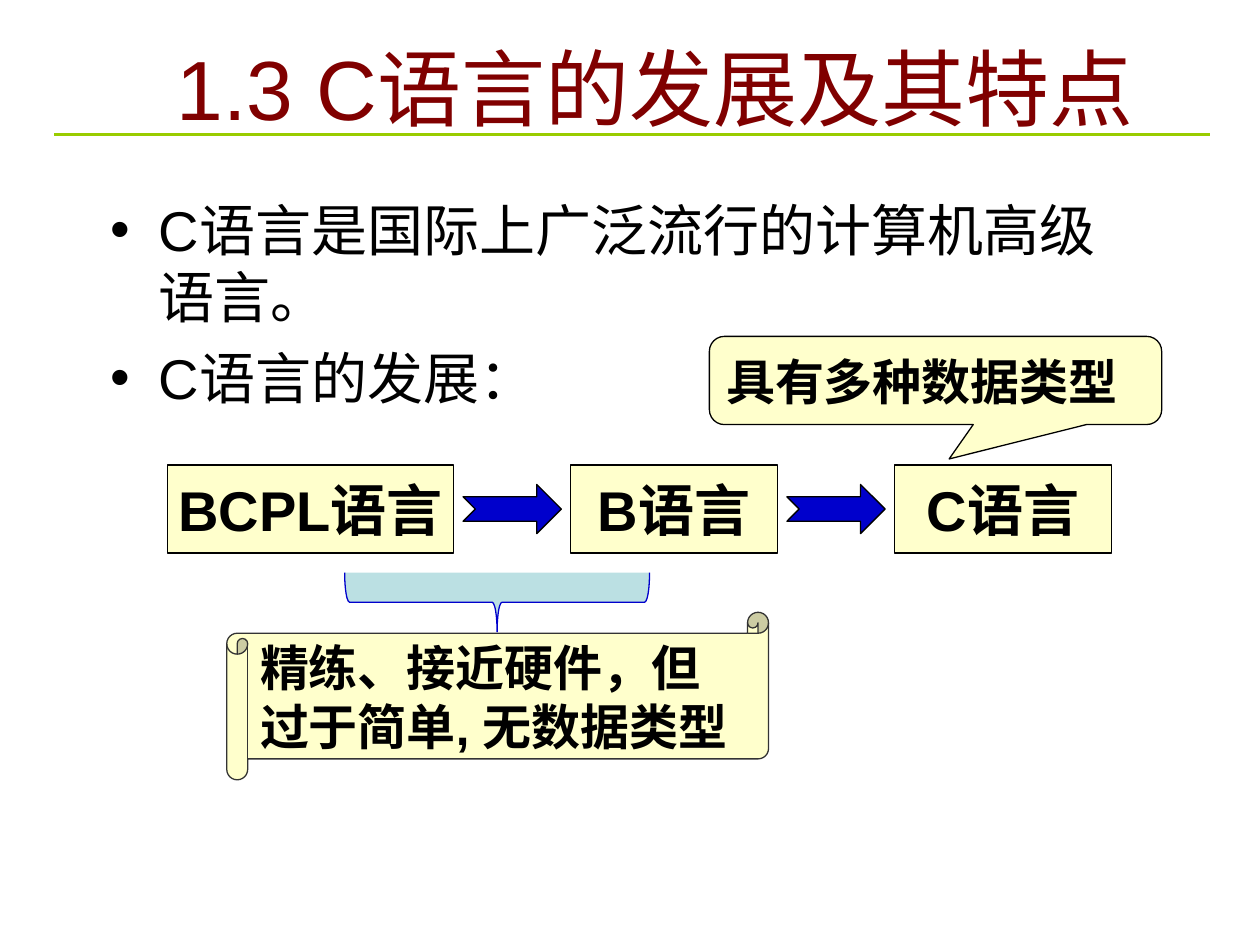
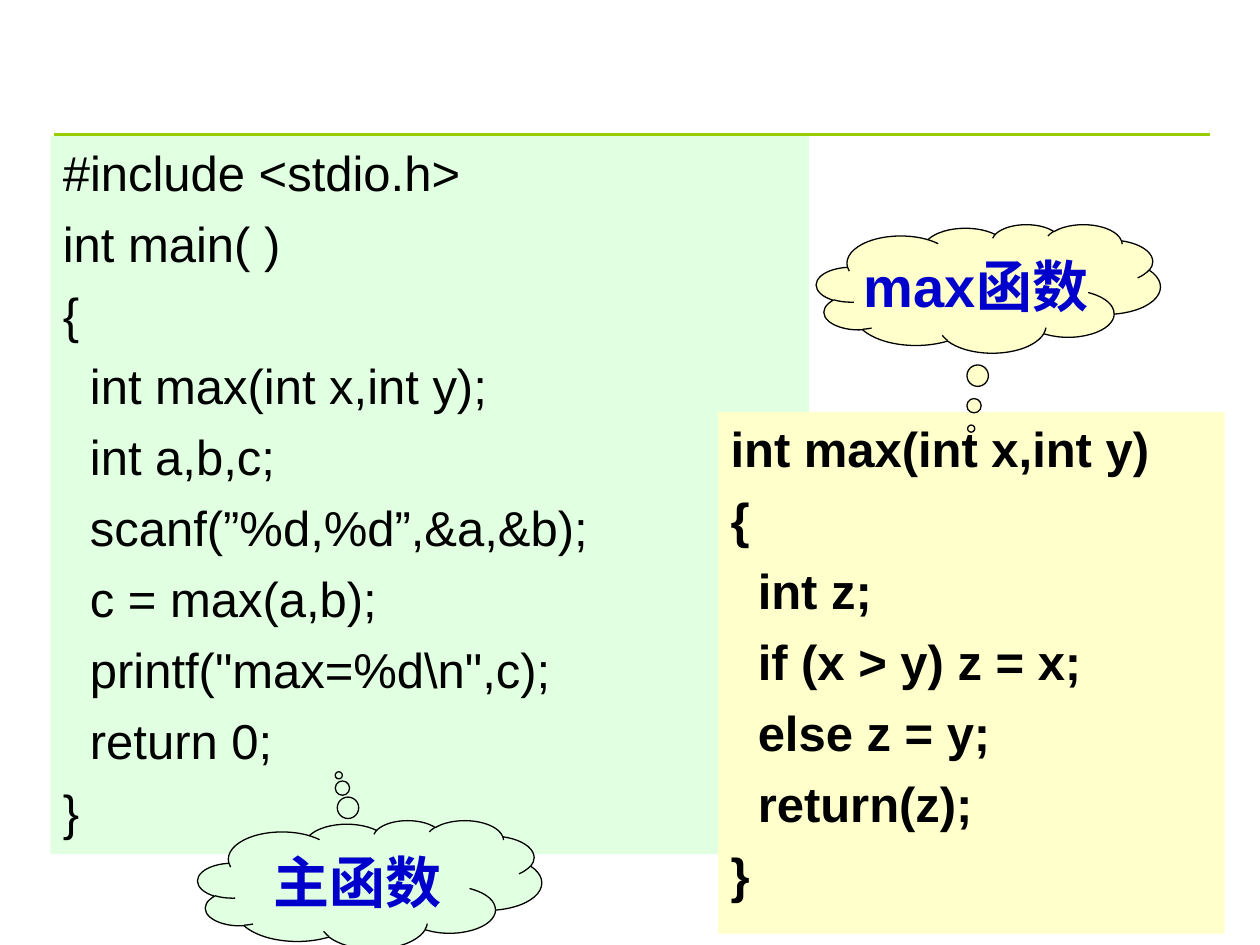
from dataclasses import dataclass

from lxml import etree
from pptx import Presentation
from pptx import util as u
from pptx.dml.color import RGBColor
from pptx.enum import shapes, text
from pptx.oxml.ns import qn

TITLE = "1.3 C语言的发展及其特点"
POINTS = ["C语言是国际上广泛流行的计算机高级语言。", "C语言的发展："]
LANGUAGES = [("BCPL语言", 2.27), ("B语言", 1.64), ("C语言", 1.72)]  # name, box width
EARLY_LANGUAGES_NOTE = ["精练、接近硬件，但", "过于简单, 无数据类型"]
C_NOTE = ["具有多种数据类型"]

MAIN_CODE = r"""#include <stdio.h>
int main( )
{
  int max(int x,int y);
  int a,b,c;
  scanf(”%d,%d”,&a,&b);
  c = max(a,b);
  printf("max=%d\n",c);
  return 0;
}""".splitlines()
MAX_CODE = """int max(int x,int y)
{
  int z;
  if (x > y) z = x;
  else z = y;
  return(z);
}""".splitlines()

SHAPE = shapes.MSO_SHAPE
LEFT, CENTER = text.PP_ALIGN.LEFT, text.PP_ALIGN.CENTER
TOP, MIDDLE = text.MSO_ANCHOR.TOP, text.MSO_ANCHOR.MIDDLE


@dataclass(frozen=True)
class Theme:
    font: str = "Arial"
    title: str = "800000"
    ink: str = "000000"
    rule: str = "99CC00"
    cream: str = "FFFFCC"
    mint: str = "E1FFE1"
    blue: str = "0000CC"
    brace: str = "BBE0E3"
    scroll_line: str = "333333"
    title_size: int = 48
    large: int = 32
    medium: int = 28
    leading: float = 1.2
    paragraph_gap: float = 0.25  # share of the type size
    thin: float = 0.75
    rule_width: float = 1.5


THEME = Theme()
WIDTH, HEIGHT = 10, 7.5
RULE_LEFT, RULE_RIGHT, RULE_TOP = 0.43, 9.6, 1.07
FLOW_LEFT, FLOW_TOP, FLOW_HEIGHT, FLOW_GAP = 1.33, 3.69, 0.7, 0.93
ARROW_WIDTH, ARROW_HEIGHT = 0.78, 0.39
CLOUD_SIZE = (2.73, 1.02)


def inches(*lengths):
    return [u.Inches(length) for length in lengths]


def write(shape, lines, size, color=THEME.ink, bold=False, align=LEFT,
          anchor=MIDDLE, wrap=False, gap=0.0, bullet=False):
    """Fill a shape with one paragraph per line; gap is a share of the size."""
    frame = shape.text_frame
    frame.text = "\n".join(lines)
    frame.word_wrap = wrap
    frame.auto_size = text.MSO_AUTO_SIZE.NONE
    frame.vertical_anchor = anchor
    for index, paragraph in enumerate(frame.paragraphs):
        paragraph.alignment = align
        paragraph.line_spacing = u.Pt(size * THEME.leading)
        paragraph.space_before = u.Pt(size * gap if index else 0)
        if bullet:
            add_bullet(paragraph)
        for run in paragraph.runs:
            run.font.name = THEME.font
            run.font.size = u.Pt(size)
            run.font.bold = bold
            run.font.color.rgb = RGBColor.from_string(color)


def add_bullet(paragraph):
    properties = paragraph._p.get_or_add_pPr()
    indent = u.Inches(0.38)
    properties.set("marL", str(indent))
    properties.set("indent", str(-indent))
    font = etree.SubElement(properties, qn("a:buFont"))
    font.set("typeface", THEME.font)
    etree.SubElement(properties, qn("a:buChar")).set("char", "•")


def add_shape(slide, kind, box, fill, line=None, adjustments=()):
    shape = slide.shapes.add_shape(kind, *inches(*box))
    shape.shadow.inherit = False
    shape.fill.solid()
    shape.fill.fore_color.rgb = RGBColor.from_string(fill)
    if line:
        shape.line.color.rgb = RGBColor.from_string(line)
        shape.line.width = u.Pt(THEME.thin)
    else:
        shape.line.fill.background()
    for index, value in enumerate(adjustments):
        shape.adjustments[index] = value
    return shape


def add_rule(slide):
    rule = slide.shapes.add_connector(
        shapes.MSO_CONNECTOR.STRAIGHT,
        *inches(RULE_LEFT, RULE_TOP, RULE_RIGHT, RULE_TOP))
    rule.line.color.rgb = RGBColor.from_string(THEME.rule)
    rule.line.width = u.Pt(THEME.rule_width)
    etree.SubElement(rule._element.spPr, qn("a:effectLst"))


def add_slide(presentation, layout_name):
    layout = presentation.slide_layouts.get_by_name(layout_name)
    slide = presentation.slides.add_slide(layout)
    add_rule(slide)
    return slide


def add_language_flow(slide):
    left = FLOW_LEFT
    arrow_top = FLOW_TOP + (FLOW_HEIGHT - ARROW_HEIGHT) / 2
    for index, (name, width) in enumerate(LANGUAGES):
        if index:
            arrow_left = left - (FLOW_GAP + ARROW_WIDTH) / 2
            add_shape(slide, SHAPE.NOTCHED_RIGHT_ARROW,
                      (arrow_left, arrow_top, ARROW_WIDTH, ARROW_HEIGHT),
                      THEME.blue, THEME.ink)
        box = add_shape(slide, SHAPE.FLOWCHART_PROCESS,
                        (left, FLOW_TOP, width, FLOW_HEIGHT), THEME.cream, THEME.ink)
        write(box, [name], THEME.large, bold=True, align=CENTER)
        left += width + FLOW_GAP


def add_code(slide, lines, box, fill, bold=False):
    panel = add_shape(slide, SHAPE.RECTANGLE, box, fill)
    write(panel, lines, THEME.medium, bold=bold, anchor=TOP, wrap=True,
          gap=THEME.paragraph_gap)


def add_cloud(slide, label, left, top, fill, tip):
    cloud = add_shape(slide, SHAPE.CLOUD_CALLOUT, (left, top, *CLOUD_SIZE),
                      fill, THEME.ink, tip)
    write(cloud, [label], THEME.large, THEME.blue, bold=True, align=CENTER)


def build_history_slide(presentation):
    slide = add_slide(presentation, "Title Only")
    title = slide.shapes.title
    title.left, title.top, title.width, title.height = inches(1.02, 0.17, 8.36, 1.04)
    write(title, [TITLE], THEME.title_size, THEME.title, align=CENTER, wrap=True)

    points = slide.shapes.add_textbox(*inches(0.78, 1.5, 8.35, 2.34))
    write(points, POINTS, THEME.large, anchor=TOP, wrap=True,
          gap=THEME.paragraph_gap, bullet=True)
    add_language_flow(slide)

    brace = add_shape(slide, SHAPE.RIGHT_BRACE, (3.71, 3.57, 0.47, 2.42),
                      THEME.brace, THEME.blue)
    brace.rotation = 90
    scroll = add_shape(slide, SHAPE.HORIZONTAL_SCROLL, (1.8, 4.86, 4.3, 1.33),
                       THEME.cream, THEME.scroll_line)
    write(scroll, EARLY_LANGUAGES_NOTE, THEME.medium, bold=True)
    callout = add_shape(slide, SHAPE.ROUNDED_RECTANGULAR_CALLOUT,
                        (5.63, 2.67, 3.59, 0.7), THEME.cream, THEME.ink,
                        (0.03, 0.89, 0.17))
    write(callout, C_NOTE, THEME.medium, bold=True)


def build_code_slide(presentation):
    slide = add_slide(presentation, "Blank")
    add_code(slide, MAIN_CODE, (0.4, 1.08, 6.02, 5.7), THEME.mint)
    add_code(slide, MAX_CODE, (5.7, 3.27, 4.02, 4.14), THEME.cream, bold=True)
    add_cloud(slide, "主函数", 1.57, 6.51, THEME.mint, (-0.09, -0.85))
    add_cloud(slide, "max函数", 6.48, 1.78, THEME.cream, (-0.05, 1.09))


def main():
    presentation = Presentation()
    presentation.slide_width, presentation.slide_height = inches(WIDTH, HEIGHT)
    build_history_slide(presentation)
    build_code_slide(presentation)
    presentation.save("out.pptx")


if __name__ == "__main__":
    main()
